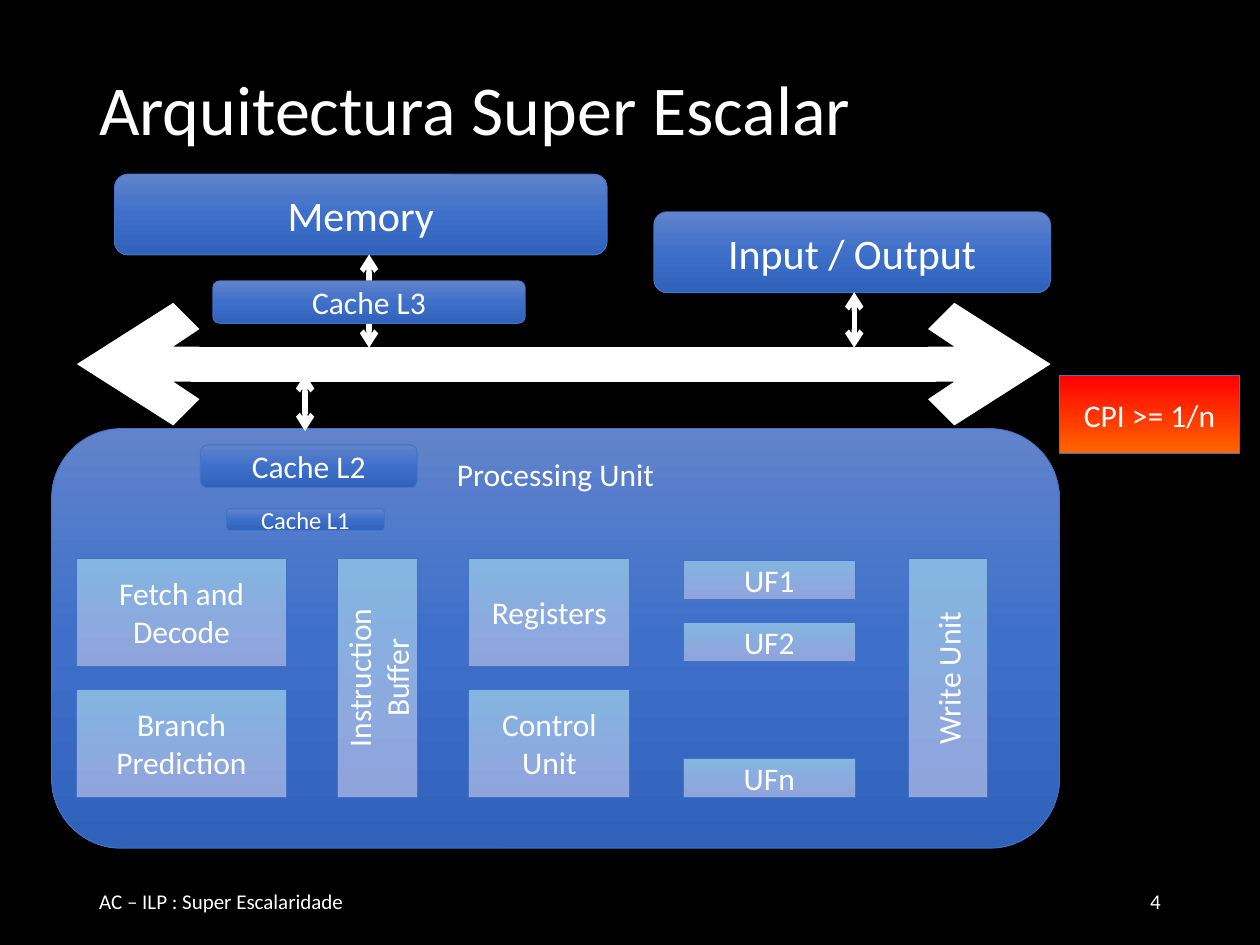
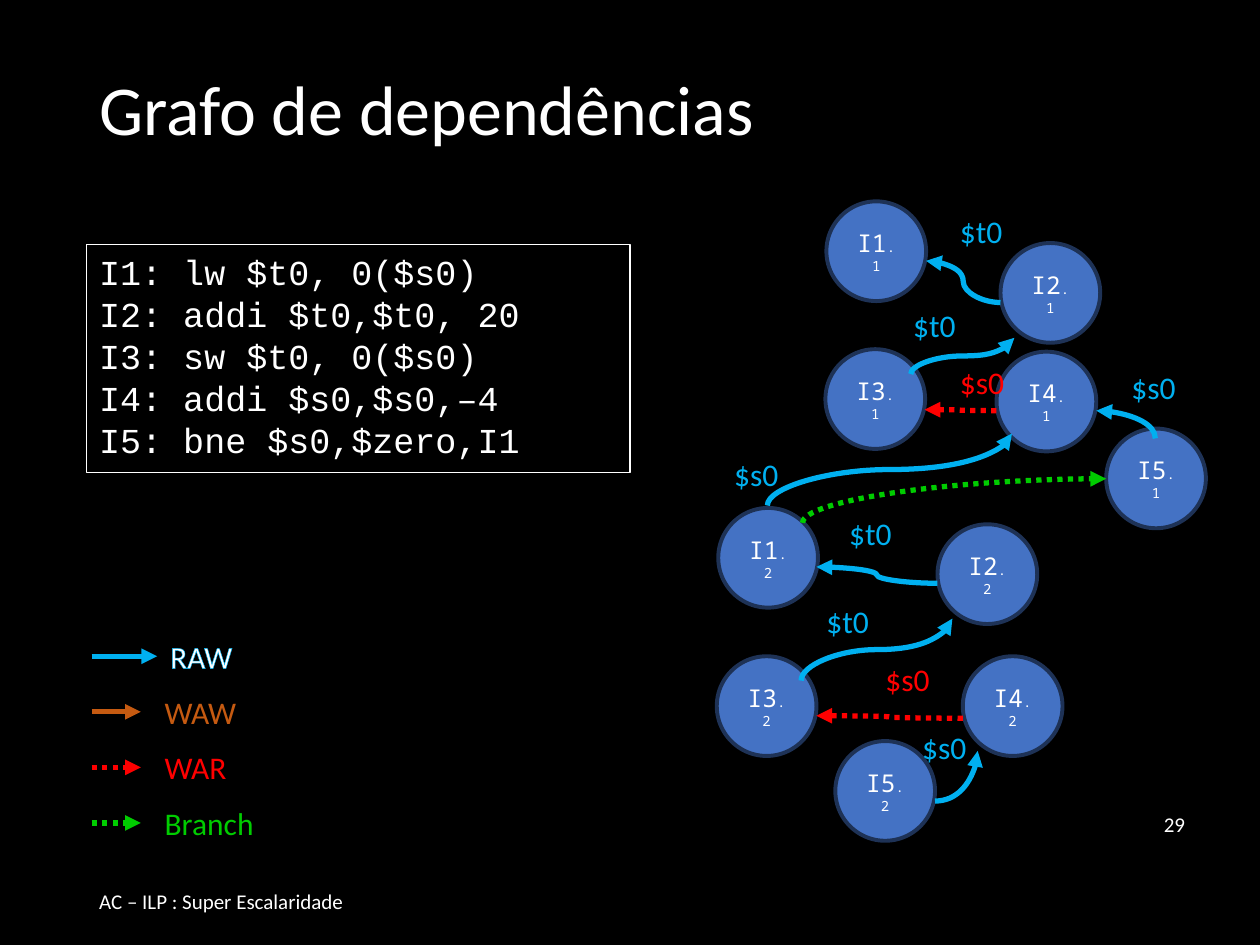
from copy import deepcopy

from lxml.etree import SubElement
from pptx import Presentation
from pptx.dml.color import RGBColor
from pptx.enum.dml import MSO_LINE
from pptx.enum.shapes import MSO_CONNECTOR, MSO_SHAPE
from pptx.enum.text import MSO_ANCHOR, MSO_AUTO_SIZE, PP_ALIGN
from pptx.oxml.ns import qn
from pptx.util import Cm, Pt

COLORS = {
    "background": "000000", "text": "FFFFFF", "blue": "4472C4", "node_line": "1E3256",
    "RAW": "00B0F0", "WAW": "C55A11", "WAR": "FF0000", "Branch": "00CC00",
}
GRADIENTS = {
    "deep": ["6183CB", "3E70CA", "3062BB"],
    "light": ["84B4E0", "90A4DC"],
    "alert": ["FF0000", "FF6600"],
}
DOTTED = {"WAR", "Branch"}


def rgb(name):
    return RGBColor.from_string(COLORS[name])


class Deck:
    """Holds the shared style and the slide being drawn."""

    def __init__(self):
        self.presentation = Presentation()
        self.presentation.slide_width = Cm(25.4)
        self.presentation.slide_height = Cm(19.05)
        self.slide = None

    def new_slide(self, title, number, number_place):
        self.slide = self.presentation.slides.add_slide(self.presentation.slide_layouts[6])
        fill = self.slide.background.fill
        fill.solid()
        fill.fore_color.rgb = rgb("background")
        title_box = self.text(title, 1.75, 1.02, 21.9, 2.51, 40, anchor=MSO_ANCHOR.MIDDLE)
        title_box.text_frame.paragraphs[0].line_spacing = 0.9
        self.text("AC – ILP : Super Escalaridade", 1.75, 17.65, 5.72, 1.02, 12,
                  anchor=MSO_ANCHOR.MIDDLE)
        self.text(number, *number_place, 5.72, 1.02, 12, align=PP_ALIGN.RIGHT,
                  anchor=MSO_ANCHOR.MIDDLE)

    def set_text(self, shape, text, size, font="Calibri", color="text",
                 align=PP_ALIGN.LEFT, anchor=MSO_ANCHOR.TOP):
        frame = shape.text_frame
        frame.word_wrap = True
        frame.vertical_anchor = anchor
        frame.text = text
        for paragraph in frame.paragraphs:
            paragraph.alignment = align
            paragraph.font.name = font
            paragraph.font.size = Pt(size)
            paragraph.font.color.rgb = rgb(color)

    def text(self, text, left, top, width, height, size, **style):
        box = self.slide.shapes.add_textbox(Cm(left), Cm(top), Cm(width), Cm(height))
        self.set_text(box, text, size, **style)
        return box

    def label(self, text, left, top, width, color):
        box = self.text(text, left, top, width, 1.02, 18, color=color)
        box.text_frame.word_wrap = False
        box.text_frame.auto_size = MSO_AUTO_SIZE.SHAPE_TO_FIT_TEXT
        return box

    def shape(self, kind, left, top, width, height, line, line_width):
        shape = self.slide.shapes.add_shape(kind, Cm(left), Cm(top), Cm(width), Cm(height))
        shape.shadow.inherit = False
        shape.line.color.rgb = rgb(line)
        shape.line.width = Pt(line_width)
        return shape

    def block(self, text, left, top, width, height, size=18, gradient="light",
              anchor=MSO_ANCHOR.MIDDLE, vertical=False):
        kind = MSO_SHAPE.ROUNDED_RECTANGLE if gradient == "deep" else MSO_SHAPE.RECTANGLE
        shape = self.shape(kind, left, top, width, height, "blue", 0.5)
        self.fill_gradient(shape, GRADIENTS[gradient])
        self.set_text(shape, text, size, align=PP_ALIGN.CENTER, anchor=anchor)
        if vertical:
            shape.text_frame._txBody.bodyPr.set("vert", "vert270")
        return shape

    def fill_gradient(self, shape, colors):
        shape.fill.gradient()
        shape.fill.gradient_angle = 270
        stop_list = shape._element.spPr.find(qn("a:gradFill")).find(qn("a:gsLst"))
        while len(stop_list) < len(colors):
            stop_list.append(deepcopy(stop_list[-1]))
        for index, stop in enumerate(shape.fill.gradient_stops):
            stop.color.rgb = RGBColor.from_string(colors[index])
            stop.position = index / (len(colors) - 1)

    def node(self, name, iteration, left, top):
        shape = self.shape(MSO_SHAPE.OVAL, left, top, 2.01, 2.01, "node_line", 2.25)
        shape.fill.solid()
        shape.fill.fore_color.rgb = rgb("blue")
        self.set_text(shape, name, 14, "Noto Sans Mono", align=PP_ALIGN.CENTER,
                      anchor=MSO_ANCHOR.MIDDLE)
        suffix = shape.text_frame.paragraphs[0].add_run()
        suffix.text = f".{iteration}"
        suffix.font.size = Pt(8)

    def connector(self, kind, start, end, color, width, dotted=False, **ends):
        connector = self.slide.shapes.add_connector(kind, *map(Cm, start + end))
        connector.line.color.rgb = rgb(color)
        connector.line.width = Pt(width)
        if dotted:
            connector.line.dash_style = MSO_LINE.ROUND_DOT
        line = connector.line._get_or_add_ln()
        for end_name, arrow in ends.items():
            SubElement(line, qn(f"a:{end_name}"), type=arrow)
        SubElement(connector._element.spPr, qn("a:effectLst"))
        return connector

    def double_arrow(self, start, end, width=3):
        self.connector(MSO_CONNECTOR.STRAIGHT, start, end, "text", width,
                       headEnd="arrow", tailEnd="arrow")

    def dependency(self, kind, start, end, route="across", bends=3):
        """Curved arrow; route "up" leaves its start vertically."""
        if route == "up":
            # Lay the curve flat around its centre, then turn it a quarter left
            (x1, y1), (x2, y2) = start, end
            middle_x, middle_y = (x1 + x2) / 2, (y1 + y2) / 2
            half_rise, half_run = (y1 - y2) / 2, (x2 - x1) / 2
            start = (middle_x - half_rise, middle_y - half_run)
            end = (middle_x + half_rise, middle_y + half_run)
        connector = self.connector(MSO_CONNECTOR.CURVE, start, end, kind, 3,
                                   kind in DOTTED, tailEnd="triangle")
        properties = connector._element.spPr
        if route == "up":
            properties.find(qn("a:xfrm")).set("rot", str(270 * 60000))
        properties.find(qn("a:prstGeom")).set("prst", f"curvedConnector{bends}")


def architecture_slide(deck):
    deck.new_slide("Arquitectura Super Escalar", "4", (17.93, 17.65))

    # Processing unit and its parts
    unit = deck.block("Processing Unit", 1.04, 8.64, 20.32, 8.46, gradient="deep",
                      anchor=MSO_ANCHOR.TOP)
    unit.text_frame.margin_bottom = 0
    upper, lower = 11.25, 13.89
    for text, left, top, width in [
        ("Fetch and Decode", 1.55, upper, 4.22), ("Branch Prediction", 1.55, lower, 4.22),
        ("Registers", 9.45, upper, 3.25), ("Control Unit", 9.45, lower, 3.25),
    ]:
        deck.block(text, left, top, width, 2.18)
    for text, left in [("Instruction Buffer", 6.81), ("Write Unit", 18.31)]:
        deck.block(text, left, upper, 1.6, 4.83, vertical=True)
    for text, top in [("UF1", 11.3), ("UF2", 12.55), ("UFn", 15.29)]:
        deck.block(text, 13.77, top, 3.48, 0.79)

    # Memory, input/output and the bus
    deck.block("Memory", 2.31, 3.51, 9.93, 1.63, 24, "deep")
    deck.block("Input / Output", 13.18, 4.27, 8, 1.63, 24, "deep")
    deck.double_arrow((1.55, 7.34), (21.18, 7.34), 20)
    for x, top, bottom in [(7.44, 5.13, 7.01), (6.15, 7.54, 8.69), (17.22, 5.89, 7.01)]:
        deck.double_arrow((x, top), (x, bottom))

    # Caches
    for text, left, top, width, height, size in [
        ("Cache L3", 4.29, 5.66, 6.3, 0.86, 18),
        ("Cache L2", 4.04, 8.97, 4.37, 0.86, 18),
        ("Cache L1", 4.57, 10.26, 3.18, 0.43, 14),
    ]:
        deck.block(text, left, top, width, height, size, "deep")

    deck.block("CPI >= 1/n", 21.36, 7.57, 3.63, 1.57, gradient="alert")


def dependency_slide(deck):
    deck.new_slide("Grafo de dependências", "29", (18.42, 16.1))

    # Program
    code = deck.shape(MSO_SHAPE.RECTANGLE, 1.75, 4.93, 10.95, 4.6, "text", 0.75)
    code.fill.background()
    deck.set_text(code, "\n".join([
        "I1: lw $t0, 0($s0)",
        "I2: addi $t0,$t0, 20",
        "I3: sw $t0, 0($s0)",
        "I4: addi $s0,$s0,–4",
        "I5: bne $s0,$zero,I1",
    ]), 20, "Courier New")

    # Instructions of both loop iterations
    iterations = [
        [(16.66, 4.06), (20.17, 4.9), (16.64, 7.04), (20.09, 7.09), (22.3, 8.64)],
        [(14.48, 10.24), (18.9, 10.57), (14.45, 13.23), (19.41, 13.23), (16.84, 14.94)],
    ]
    for iteration, places in enumerate(iterations, 1):
        for instruction, place in enumerate(places, 1):
            deck.node(f"I{instruction}", iteration, *place)

    # Dependencies: kind, start, end, route, bends, register, label place
    for kind, start, end, route, bends, register, place in [
        ("RAW", (20.17, 6.1), (18.67, 5.26), "across", 3, "$t0", (19.1, 4.14)),
        ("RAW", (18.36, 7.54), (20.45, 6.81), "up", 3, "$t0", (18.16, 6.05)),
        ("WAR", (20.09, 8.28), (18.64, 8.26), "across", 3, "$s0", (19.1, 7.19)),
        ("RAW", (23.29, 8.84), (22.1, 8.28), "up", 2, "$s0", (22.56, 7.29)),
        ("RAW", (18.9, 11.76), (16.46, 11.43), "across", 3, "$t0", (16.87, 10.24)),
        ("RAW", (16.15, 13.72), (19.2, 12.47), "up", 3, "$t0", (16.41, 12.01)),
        ("WAR", (19.41, 14.48), (16.46, 14.43), "across", 3, "$s0", (17.6, 13.18)),
        ("RAW", (18.85, 16.15), (19.71, 15.14), "across", 2, "$s0", (18.34, 14.55)),
        ("RAW", (15.47, 10.19), (20.4, 8.74), "up", 3, "$s0", (14.55, 9.04)),
    ]:
        deck.dependency(kind, start, end, route, bends)
        deck.label(register, *place, 1.4, kind)
    deck.dependency("Branch", (16.18, 10.54), (22.3, 9.65), "up", 2)

    # Legend
    for row, (kind, end, left, width) in enumerate([
        ("RAW", 3.17, 3.18, 1.78), ("WAW", 2.84, 3.07, 1.96),
        ("WAR", 2.84, 3.07, 1.78), ("Branch", 2.84, 3.07, 2.34),
    ]):
        y = 13.23 + 1.12 * row
        deck.dependency(kind, (1.85, y), (end, y))
        outlined = kind == "RAW"
        box = deck.label(kind, left, y - 0.51, width, "text" if outlined else kind)
        if outlined:
            run = box.text_frame.paragraphs[0].runs[0]
            outline = SubElement(run._r.get_or_add_rPr(), qn("a:ln"), w=str(Pt(0.75)))
            SubElement(SubElement(outline, qn("a:solidFill")), qn("a:srgbClr"),
                       val=COLORS[kind])


def main():
    deck = Deck()
    architecture_slide(deck)
    dependency_slide(deck)
    deck.presentation.save("out.pptx")


if __name__ == "__main__":
    main()
